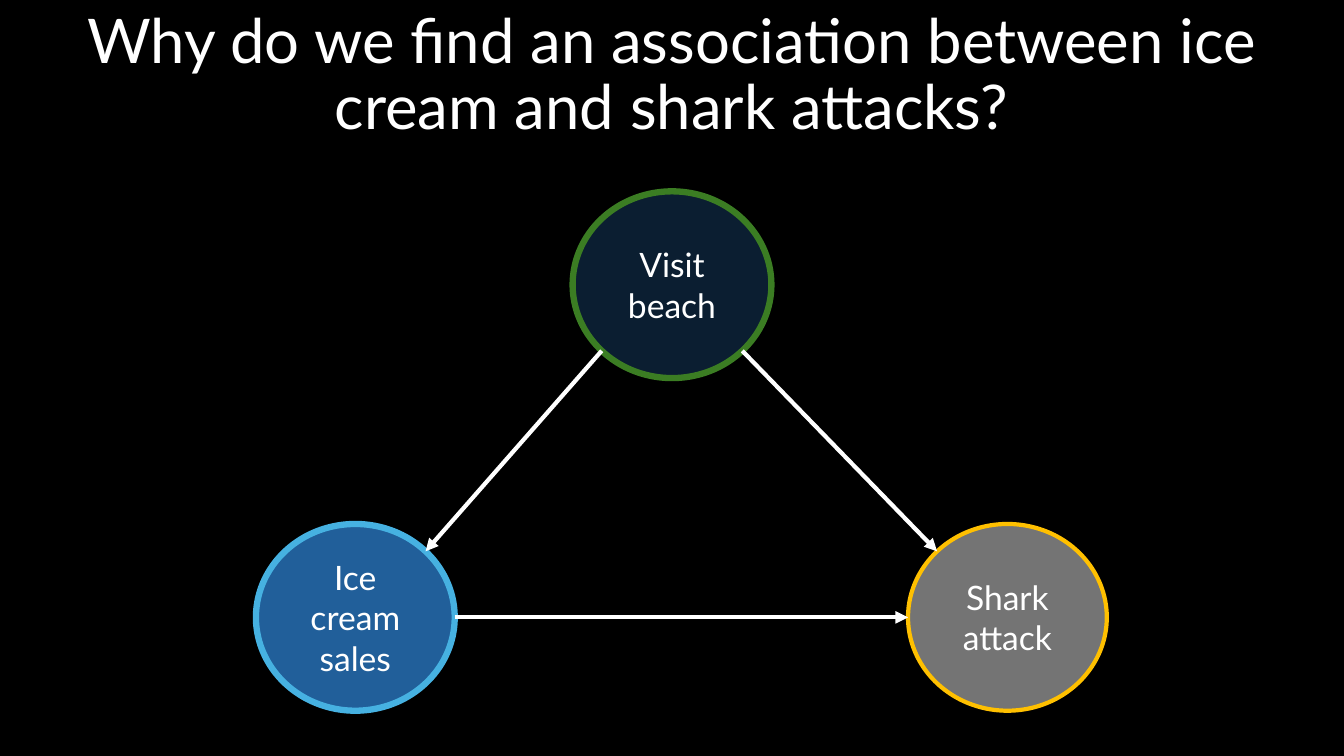
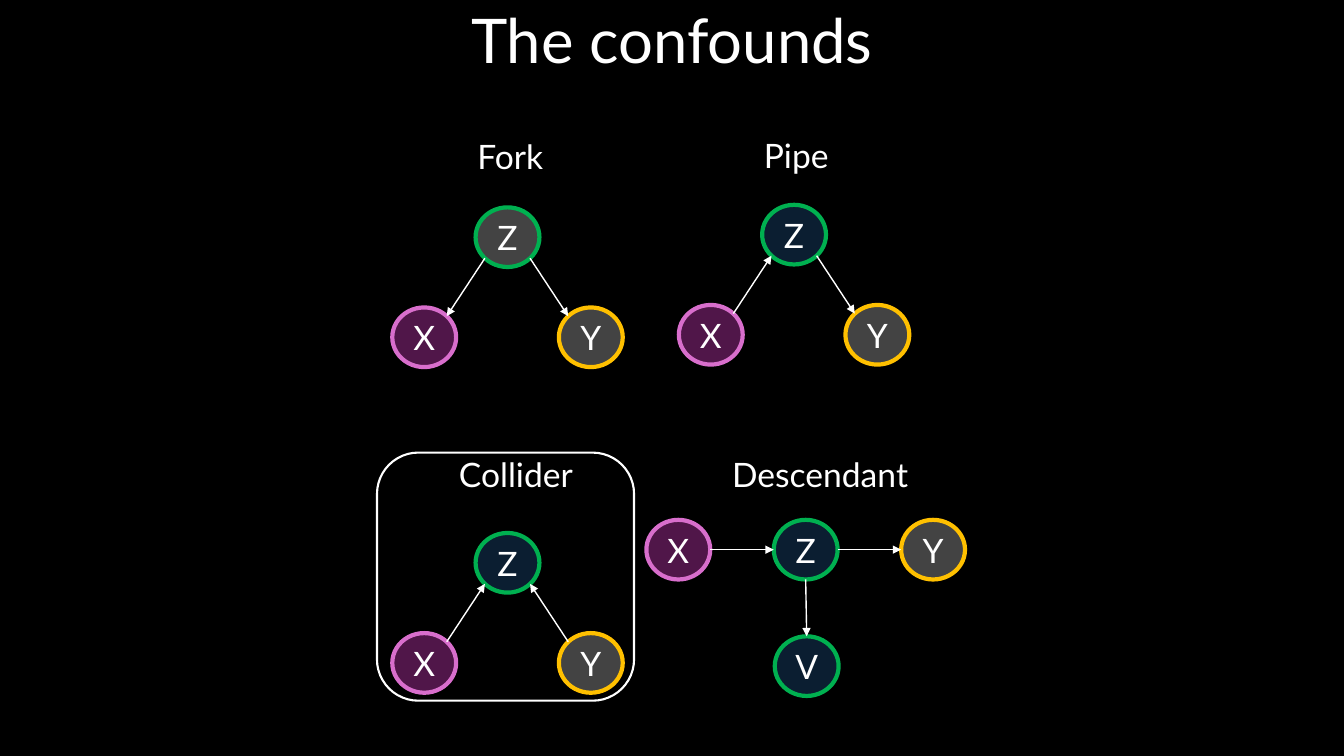
import math
import pptx
import pptx.util
import pptx.dml.color
import pptx.enum.shapes
import pptx.enum.text
import pptx.oxml
from lxml import etree

Pt = pptx.util.Pt
RGB = pptx.dml.color.RGBColor
SHAPE = pptx.enum.shapes.MSO_SHAPE
ANCHOR = pptx.enum.text.MSO_ANCHOR

BLACK = RGB(0x00, 0x00, 0x00)
WHITE = RGB(0xFF, 0xFF, 0xFF)
NAVY = RGB(0x0B, 0x1E, 0x31)
BLUE = RGB(0x21, 0x5F, 0x9A)
SKY = RGB(0x46, 0xB1, 0xE1)
MOSS = RGB(0x3B, 0x7D, 0x23)
GREEN = RGB(0x00, 0xB0, 0x50)
GOLD = RGB(0xFF, 0xC0, 0x00)
GREY = RGB(0x74, 0x74, 0x74)
COAL = RGB(0x43, 0x43, 0x43)
PLUM = RGB(0x50, 0x16, 0x49)
PINK = RGB(0xD8, 0x6E, 0xCC)
FONT = "Lato"
WIDE, HIGH = 960, 540
DIAG = math.sqrt(0.5)


def write(shape, text, size=24, anchor=ANCHOR.MIDDLE):
    """Put one centred white paragraph in the shape and return it."""
    frame = shape.text_frame
    frame.word_wrap = True
    frame.vertical_anchor = anchor
    para = frame.paragraphs[0]
    para.text = text
    para.alignment = pptx.enum.text.PP_ALIGN.CENTER
    para.font.name = FONT
    para.font.size = Pt(size)
    para.font.color.rgb = WHITE
    return para


def link(slide, start, end, size, weight):
    """Draw an arrow between two ellipses, given their centres."""
    gaps = [b - a for a, b in zip(start, end)]
    signs = [0 if abs(gap) < 5 else math.copysign(1, gap) for gap in gaps]
    scale = DIAG if all(signs) else 1
    shift = [sign * scale * side / 2 for sign, side in zip(signs, size)]
    ends = [a + s for a, s in zip(start, shift)]
    ends += [b - s for b, s in zip(end, shift)]
    line = slide.shapes.add_connector(
        pptx.enum.shapes.MSO_CONNECTOR.STRAIGHT, *[Pt(v) for v in ends])
    line.line.color.rgb = WHITE
    line.line.width = Pt(weight)
    etree.SubElement(line.line._get_or_add_ln(),
                     pptx.oxml.ns.qn("a:tailEnd"), type="triangle")
    etree.SubElement(line._element.spPr, pptx.oxml.ns.qn("a:effectLst"))


# Node: text, centre x, centre y, fill, edge, edge width
beach = [
    ("Shark attack", 719.6, 441, GREY, GOLD, 3),
    ("Ice cream sales", 253.8, 441, BLUE, SKY, 4.5),
    ("Visit beach", 480, 203.4, NAVY, MOSS, 4.5),
]
beach_links = [(1, 0), (2, 1), (2, 0)]

# Each triangle: Z centre, Z fill, links among X (0), Y (1) and Z (2)
trios = [
    (362.5, 169.4, COAL, [(2, 0), (2, 1)]),
    (567.2, 167.6, NAVY, [(0, 2), (2, 1)]),
    (362.5, 402, NAVY, [(0, 2), (1, 2)]),
]
nodes, links = [], []
for x, y, fill, pairs in trios:
    base = len(nodes)
    nodes += [
        ("X", x - 59.5, y + 71.5, PLUM, PINK, 3),
        ("Y", x + 59.5, y + 71.5, COAL, GOLD, 3),
        ("Z", x, y, fill, GREEN, 3),
    ]
    links += [(base + a, base + b) for a, b in pairs]

base = len(nodes)
nodes += [
    ("X", 484.5, 392.6, PLUM, PINK, 3),
    ("Y", 666.5, 392.6, COAL, GOLD, 3),
    ("Z", 575.5, 392.6, NAVY, GREEN, 3),
    ("V", 576.2, 475.8, NAVY, GREEN, 3),
]
links += [(base, base + 2), (base + 2, base + 1), (base + 2, base + 3)]

# Label: text, centre x, top
labels = [
    ("Fork", 364.5, 93.5),
    ("Pipe", 568.8, 93),
    ("Collider", 368.5, 321),
    ("Descendant", 585.8, 321),
]

# Page: title, node size, nodes, links, link width, labels
pages = [
    ("Why do we find an association between ice cream and shark attacks?",
     (142, 133.4), beach, beach_links, 3, []),
    ("The confounds", (45.6, 42.6), nodes, links, 1, labels),
]

deck = pptx.Presentation()
deck.slide_width, deck.slide_height = Pt(WIDE), Pt(HIGH)
back = deck.slide_master.background.fill
back.solid()
back.fore_color.rgb = BLACK

for title, size, dots, pairs, weight, names in pages:
    slide = deck.slides.add_slide(deck.slide_layouts[6])
    head = slide.shapes.add_textbox(0, 0, Pt(WIDE), Pt(60.5))
    write(head, title, 44, ANCHOR.TOP).line_spacing = 0.9
    frame = head.text_frame
    frame.margin_top = frame.margin_bottom = Pt(7.2)

    for text, x, y, fill, edge, width in dots:
        w, h = size
        dot = slide.shapes.add_shape(
            SHAPE.OVAL, Pt(x - w / 2), Pt(y - h / 2), Pt(w), Pt(h))
        dot.shadow.inherit = False
        dot.fill.solid()
        dot.fill.fore_color.rgb = fill
        dot.line.color.rgb = edge
        dot.line.width = Pt(width)
        write(dot, text)

    for a, b in pairs:
        link(slide, dots[a][1:3], dots[b][1:3], size, weight)

    for text, x, y in names:
        box = slide.shapes.add_textbox(Pt(x - 75), Pt(y), Pt(150), Pt(36))
        write(box, text, anchor=ANCHOR.TOP)

# Frame around the collider on the last slide
ring = slide.shapes.add_shape(
    SHAPE.ROUNDED_RECTANGLE, Pt(269.3), Pt(323.3), Pt(183.6), Pt(177.2))
ring.shadow.inherit = False
ring.fill.background()
ring.line.color.rgb = WHITE
ring.line.width = Pt(1.5)

deck.save("out.pptx")
